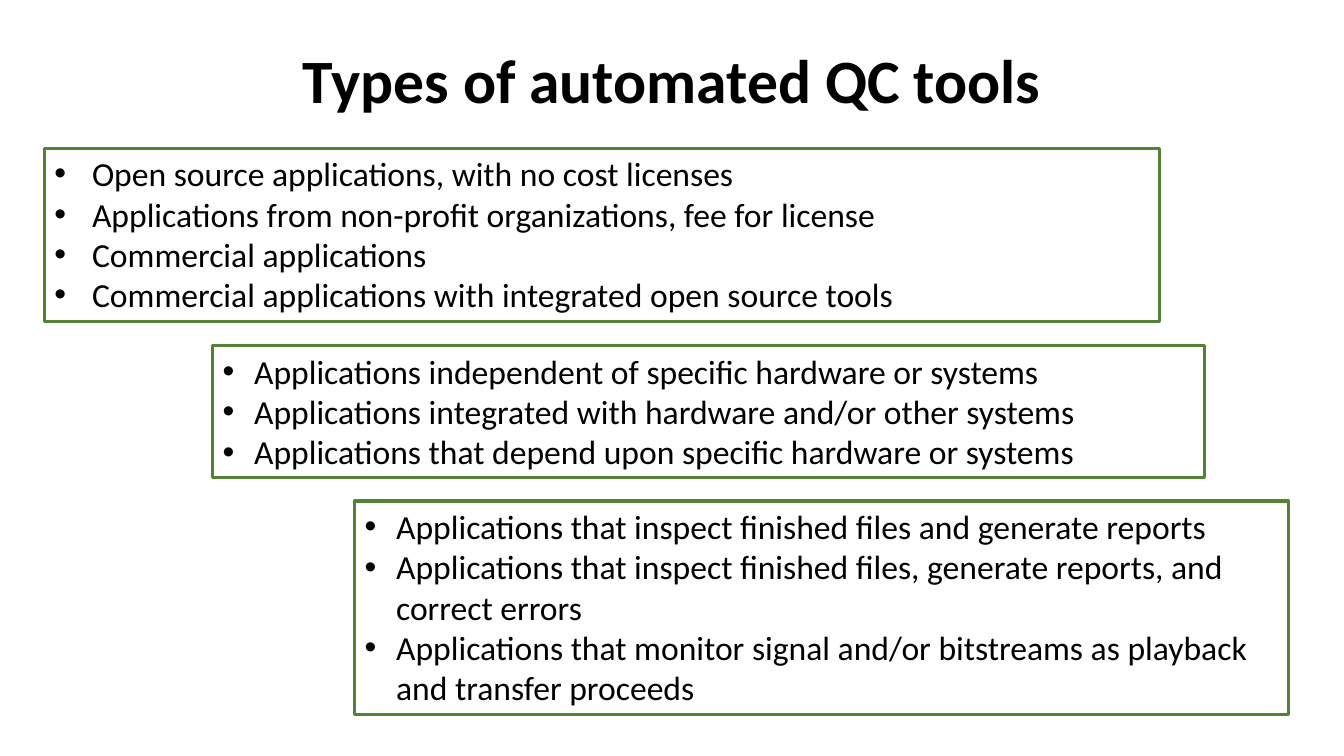
from dataclasses import dataclass

from lxml import etree
from pptx import Presentation, util as u
from pptx.dml.color import RGBColor
from pptx.enum import text
from pptx.oxml import ns

COLORS = {"ink": "000000", "border": "548235"}
FONT = "Calibri"
SLIDE_W, SLIDE_H = u.Inches(13.333), u.Inches(7.5)


@dataclass(frozen=True)
class Area:
    """Left, top, width and height in percent of the slide."""
    left: float
    top: float
    width: float
    height: float

    def emu(self) -> tuple[int, int, int, int]:
        return (int(SLIDE_W * self.left / 100), int(SLIDE_H * self.top / 100),
                int(SLIDE_W * self.width / 100), int(SLIDE_H * self.height / 100))


@dataclass(frozen=True)
class BulletBox:
    area: Area
    indent: float  # percent of the slide width
    items: tuple[str, ...]


TITLE_AREA = Area(6.9, 5.33, 86.25, 11.47)
BOXES = (
    BulletBox(Area(3.3, 19.6, 82.95, 22.93), 2.81, (
        "Open source applications, with no cost licenses",
        "Applications from non-profit organizations, fee for license",
        "Commercial applications",
        "Commercial applications with integrated open source tools",
    )),
    BulletBox(Area(15.83, 45.73, 73.8, 17.47), 2.34, (
        "Applications independent of specific hardware or systems",
        "Applications integrated with hardware and/or other systems",
        "Applications that depend upon specific hardware or systems",
    )),
    BulletBox(Area(26.4, 66.27, 69.45, 28.27), 2.34, (
        "Applications that inspect finished files and generate reports",
        "Applications that inspect finished files, generate reports, and correct errors",
        "Applications that monitor signal and/or bitstreams as playback and transfer proceeds",
    )),
)


def format_runs(p, size: float, bold: bool = False) -> None:
    for r in p.runs:
        r.font.name = FONT
        r.font.size = u.Pt(size)
        r.font.bold = bold
        r.font.color.rgb = RGBColor.from_string(COLORS["ink"])


def add_bullet(p, indent: int) -> None:
    pPr = p._p.get_or_add_pPr()
    pPr.set("marL", str(indent))
    pPr.set("indent", str(-indent))
    etree.SubElement(pPr, ns.qn("a:buFont"), typeface="Arial")
    etree.SubElement(pPr, ns.qn("a:buChar"), char="•")


def draw_title(s, title: str) -> None:
    tf = s.shapes.add_textbox(*TITLE_AREA.emu()).text_frame
    tf.word_wrap = True
    tf.vertical_anchor = text.MSO_ANCHOR.MIDDLE
    p = tf.paragraphs[0]
    p.text = title
    p.alignment = text.PP_ALIGN.CENTER
    p.line_spacing = 0.9
    format_runs(p, 44, bold=True)


def draw_box(s, box: BulletBox) -> None:
    sp = s.shapes.add_textbox(*box.area.emu())
    sp.line.color.rgb = RGBColor.from_string(COLORS["border"])
    sp.line.width = u.Pt(2.25)
    tf = sp.text_frame
    tf.word_wrap = True
    tf.auto_size = text.MSO_AUTO_SIZE.SHAPE_TO_FIT_TEXT
    tf.text = "\n".join(box.items)
    for p in tf.paragraphs:
        add_bullet(p, int(SLIDE_W * box.indent / 100))
        format_runs(p, 24)


def main() -> None:
    prs = Presentation()
    prs.slide_width, prs.slide_height = SLIDE_W, SLIDE_H
    s = prs.slides.add_slide(prs.slide_layouts[6])

    # Heading
    draw_title(s, "Types of automated QC tools")

    # Staggered bullet boxes
    for box in BOXES:
        draw_box(s, box)

    prs.save("out.pptx")


if __name__ == "__main__":
    main()
